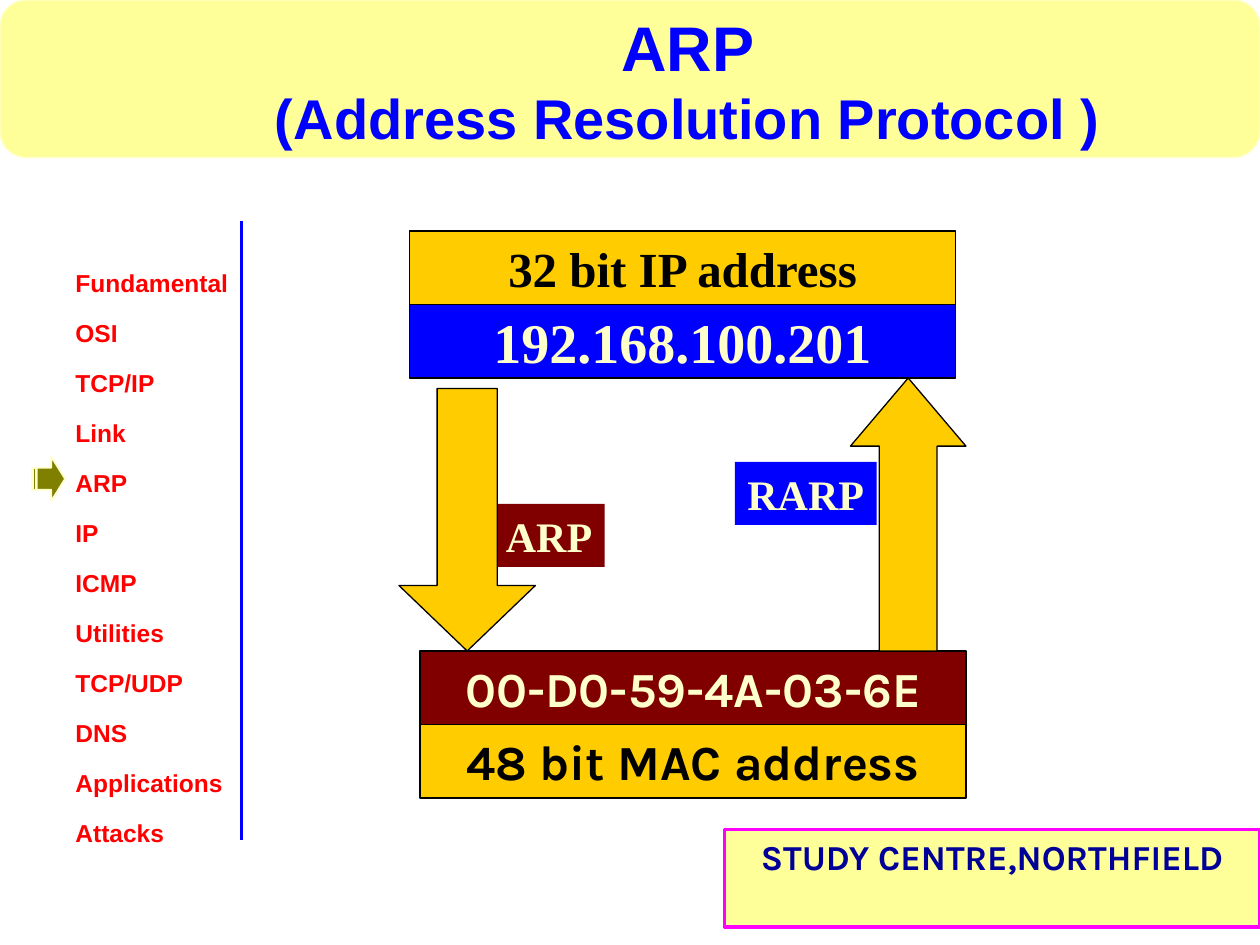
from dataclasses import dataclass

from lxml import etree
from pptx import Presentation
from pptx import util as u
from pptx.dml.color import RGBColor
from pptx.enum import shapes, text
from pptx.oxml import ns

COLUMNS, ROWS = 120, 90
SHAPE = shapes.MSO_SHAPE
ALIGN = text.PP_ALIGN
ANCHOR = text.MSO_ANCHOR


@dataclass(frozen=True)
class Theme:
    sans: str = "Arial"
    serif: str = "Times New Roman"
    display: str = "Karla"
    blue: str = "0000FF"
    navy: str = "000099"
    red: str = "FF0000"
    maroon: str = "800000"
    gold: str = "FFCC00"
    olive: str = "808000"
    cream: str = "FFFFCC"
    yellow: str = "FFFF99"
    magenta: str = "FF00FF"
    black: str = "000000"
    title_size: int = 36
    address_size: int = 32
    box_size: int = 28
    label_size: int = 24
    footer_size: int = 20
    menu_size: int = 14
    hairline: float = 0.75


THEME = Theme()
TOPICS = ["Fundamental", "OSI", "TCP/IP", "Link", "ARP", "IP", "ICMP",
          "Utilities", "TCP/UDP", "DNS", "Applications", "Attacks"]


def grid(column, row):
    return u.Inches(column * 10 / COLUMNS), u.Inches(row * 7.5 / ROWS)


def area(column, row, columns, rows):
    return *grid(column, row), *grid(columns, rows)


def style_font(font, face, size, color):
    font.name = face
    font.size = u.Pt(size)
    font.bold = True
    font.color.rgb = RGBColor.from_string(color)


def add_block(slide, kind, place, fill, line=None, width=THEME.hairline, adjustments=()):
    shape = slide.shapes.add_shape(kind, *area(*place))
    shape.shadow.inherit = False
    shape.fill.solid()
    shape.fill.fore_color.rgb = RGBColor.from_string(fill)
    if line:
        shape.line.color.rgb = RGBColor.from_string(line)
        shape.line.width = u.Pt(width)
    else:
        shape.line.fill.background()
    for index, value in enumerate(adjustments):
        shape.adjustments[index] = value
    return shape


def write(shape, words, face, size, color, align=ALIGN.CENTER, anchor=ANCHOR.MIDDLE):
    frame = shape.text_frame
    frame.text = words
    frame.word_wrap = False
    frame.vertical_anchor = anchor
    for paragraph in frame.paragraphs:
        paragraph.alignment = align
        for run in paragraph.runs:
            style_font(run.font, face, size, color)
    return frame


def add_title(slide):
    title = slide.shapes.title
    title.left, title.top, title.width, title.height = area(17, 0, 97, 15)
    frame = write(title, "ARP\v(Address Resolution Protocol )", THEME.sans,
                  THEME.title_size, THEME.blue, anchor=ANCHOR.BOTTOM)
    frame.word_wrap = True
    frame.auto_size = text.MSO_AUTO_SIZE.NONE
    frame.paragraphs[0].runs[1].font.size = u.Pt(THEME.address_size)


def add_menu(slide):
    menu = slide.shapes.add_textbox(*area(6, 23, 21, 59))
    frame = write(menu, "\n".join(TOPICS), THEME.sans, THEME.menu_size, THEME.red,
                  ALIGN.LEFT, ANCHOR.TOP)
    frame.word_wrap = True
    for paragraph in frame.paragraphs:
        paragraph.line_spacing = 1.7


def add_rail(slide):
    rail = slide.shapes.add_connector(shapes.MSO_CONNECTOR.STRAIGHT, *grid(23, 21), *grid(23, 80))
    rail.line.color.rgb = RGBColor.from_string(THEME.blue)
    rail.line.width = u.Pt(1.5)
    etree.SubElement(rail._element.spPr, ns.qn("a:effectLst"))


def add_address_row(slide, column, row, words, fill, face, size, color):
    box = add_block(slide, SHAPE.RECTANGLE, (column, row, 52, 7), fill, THEME.black)
    write(box, words, face, size, color)


def add_label(slide, place, words, fill):
    label = add_block(slide, SHAPE.RECTANGLE, place, fill)
    write(label, words, THEME.serif, THEME.label_size, THEME.cream, ALIGN.LEFT, ANCHOR.TOP)


def main():
    presentation = Presentation()
    presentation.slide_width, presentation.slide_height = grid(COLUMNS, ROWS)
    slide = presentation.slides.add_slide(presentation.slide_layouts[5])

    header = add_block(slide, SHAPE.FLOWCHART_ALTERNATE_PROCESS, (0, 0, COLUMNS, 15),
                       THEME.yellow, THEME.cream)
    slide.shapes.title._element.addprevious(header._element)
    add_title(slide)
    add_menu(slide)
    add_rail(slide)

    footer = add_block(slide, SHAPE.RECTANGLE, (69, 79, 51, 9.25),
                       THEME.yellow, THEME.magenta, 2.25)
    write(footer, "STUDY CENTRE,NORTHFIELD", THEME.display, THEME.footer_size,
          THEME.navy, anchor=ANCHOR.TOP)

    add_label(slide, (47, 48, 10.6, 6), "ARP", THEME.maroon)
    add_label(slide, (70, 44, 13.5, 6), "RARP", THEME.blue)
    add_block(slide, SHAPE.STRIPED_RIGHT_ARROW, (3, 43.5, 3.2, 4.2),
              THEME.olive, THEME.cream, 1, (0.5, 0.41))

    address_rows = [
        (39, 29, "192.168.100.201", THEME.blue, THEME.serif, THEME.address_size, THEME.cream),
        (39, 22, "32 bit IP address", THEME.gold, THEME.serif, THEME.box_size, THEME.black),
        (40, 69, "48 bit MAC address", THEME.gold, THEME.display, THEME.box_size, THEME.black),
        (40, 62, "00-D0-59-4A-03-6E", THEME.maroon, THEME.display, THEME.box_size, THEME.cream),
    ]
    for address_row in address_rows:
        add_address_row(slide, *address_row)

    arrows = [
        (SHAPE.DOWN_ARROW, (38, 37, 13, 25), (0.44, 0.48)),
        (SHAPE.UP_ARROW, (81, 36, 11, 26), (0.5, 0.59)),
    ]
    for kind, place, adjustments in arrows:
        add_block(slide, kind, place, THEME.gold, THEME.black, adjustments=adjustments)

    presentation.save("out.pptx")


if __name__ == "__main__":
    main()
